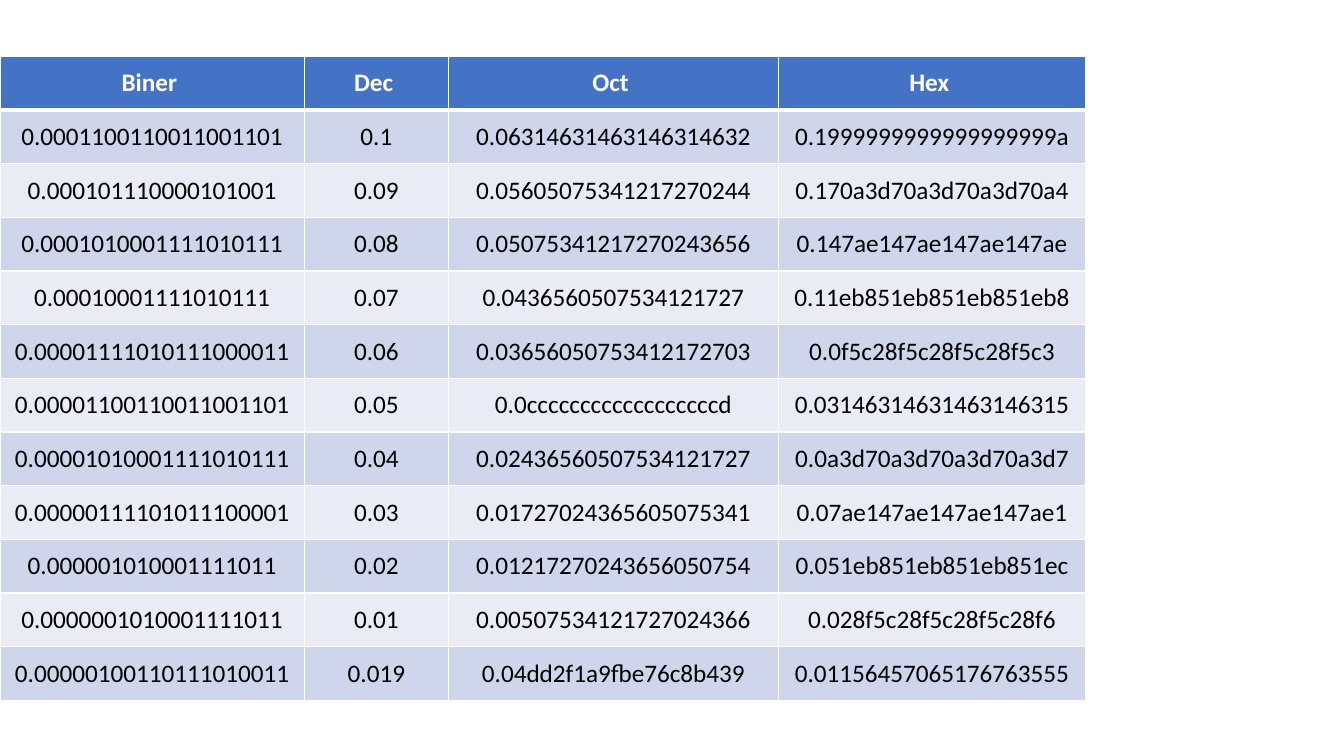
from dataclasses import dataclass

from lxml.etree import SubElement
from pptx import Presentation
from pptx.dml.color import RGBColor
from pptx.enum.text import MSO_ANCHOR, PP_ALIGN
from pptx.oxml.ns import qn
from pptx.table import _Cell as Cell
from pptx.util import Pt


@dataclass(frozen=True)
class RowStyle:
    fill: str
    color: str
    bold: bool = False
    top: float = 1
    bottom: float = 1


HEADER = RowStyle("4472C4", "FFFFFF", bold=True, bottom=3)
FIRST = RowStyle("CFD5EA", "000000", top=3)
ODD = RowStyle("CFD5EA", "000000")
EVEN = RowStyle("E9EBF5", "000000")

COL_WIDTHS = (217.4, 103, 235.6, 219.6)
ROW_HEIGHT = 38.34
TABLE_TOP = 40.3

ROWS = (
    ("Biner ", "Dec ", "Oct ", "Hex "),
    ("0.0001100110011001101", "0.1", "0.06314631463146314632", "0.1999999999999999999a"),
    ("0.000101110000101001", "0.09", "0.05605075341217270244", "0.170a3d70a3d70a3d70a4"),
    ("0.0001010001111010111", "0.08", "0.05075341217270243656", "0.147ae147ae147ae147ae"),
    ("0.00010001111010111", "0.07", "0.0436560507534121727", "0.11eb851eb851eb851eb8"),
    ("0.00001111010111000011", "0.06", "0.03656050753412172703", "0.0f5c28f5c28f5c28f5c3"),
    ("0.00001100110011001101", "0.05", "0.0ccccccccccccccccccd", "0.03146314631463146315"),
    ("0.00001010001111010111", "0.04", "0.02436560507534121727", "0.0a3d70a3d70a3d70a3d7"),
    ("0.00000111101011100001", "0.03", "0.01727024365605075341", "0.07ae147ae147ae147ae1"),
    ("0.000001010001111011", "0.02", "0.01217270243656050754", "0.051eb851eb851eb851ec"),
    ("0.0000001010001111011", "0.01", "0.00507534121727024366", "0.028f5c28f5c28f5c28f6"),
    ("0.00000100110111010011", "0.019", "0.04dd2f1a9fbe76c8b439", "0.01156457065176763555"),
)


def rgb(color: str) -> RGBColor:
    return RGBColor.from_string(color)


def row_style(index: int) -> RowStyle:
    if index < 2:
        return (HEADER, FIRST)[index]
    return ODD if index % 2 else EVEN


def add_borders(cell: Cell, style: RowStyle) -> None:
    tc_pr = cell._tc.get_or_add_tcPr()
    widths = {"a:lnL": 1, "a:lnR": 1, "a:lnT": style.top, "a:lnB": style.bottom}
    for tag, width in widths.items():
        ln = SubElement(tc_pr, qn(tag), w=str(Pt(width)))
        fill = SubElement(ln, qn("a:solidFill"))
        SubElement(fill, qn("a:srgbClr"), val="FFFFFF")


def fill_cell(cell: Cell, text: str, style: RowStyle) -> None:
    add_borders(cell, style)
    cell.fill.solid()
    cell.fill.fore_color.rgb = rgb(style.fill)
    cell.vertical_anchor = MSO_ANCHOR.MIDDLE
    p = cell.text_frame.paragraphs[0]
    p.alignment = PP_ALIGN.CENTER
    r = p.add_run()
    r.text = text
    r.font.name = "Calibri"
    r.font.size = Pt(18)
    r.font.bold = style.bold
    r.font.color.rgb = rgb(style.color)


def main() -> None:
    prs = Presentation()
    prs.slide_width, prs.slide_height = Pt(960), Pt(540)
    s = prs.slides.add_slide(prs.slide_layouts[6])

    # Table grid
    table = s.shapes.add_table(
        len(ROWS), len(COL_WIDTHS), Pt(0), Pt(TABLE_TOP),
        Pt(sum(COL_WIDTHS)), Pt(ROW_HEIGHT * len(ROWS)),
    ).table
    for column, width in zip(table.columns, COL_WIDTHS):
        column.width = Pt(width)

    # Header and number rows
    for i, (row, texts) in enumerate(zip(table.rows, ROWS)):
        row.height = Pt(ROW_HEIGHT)
        for cell, text in zip(row.cells, texts):
            fill_cell(cell, text, row_style(i))

    prs.save("out.pptx")


if __name__ == "__main__":
    main()
